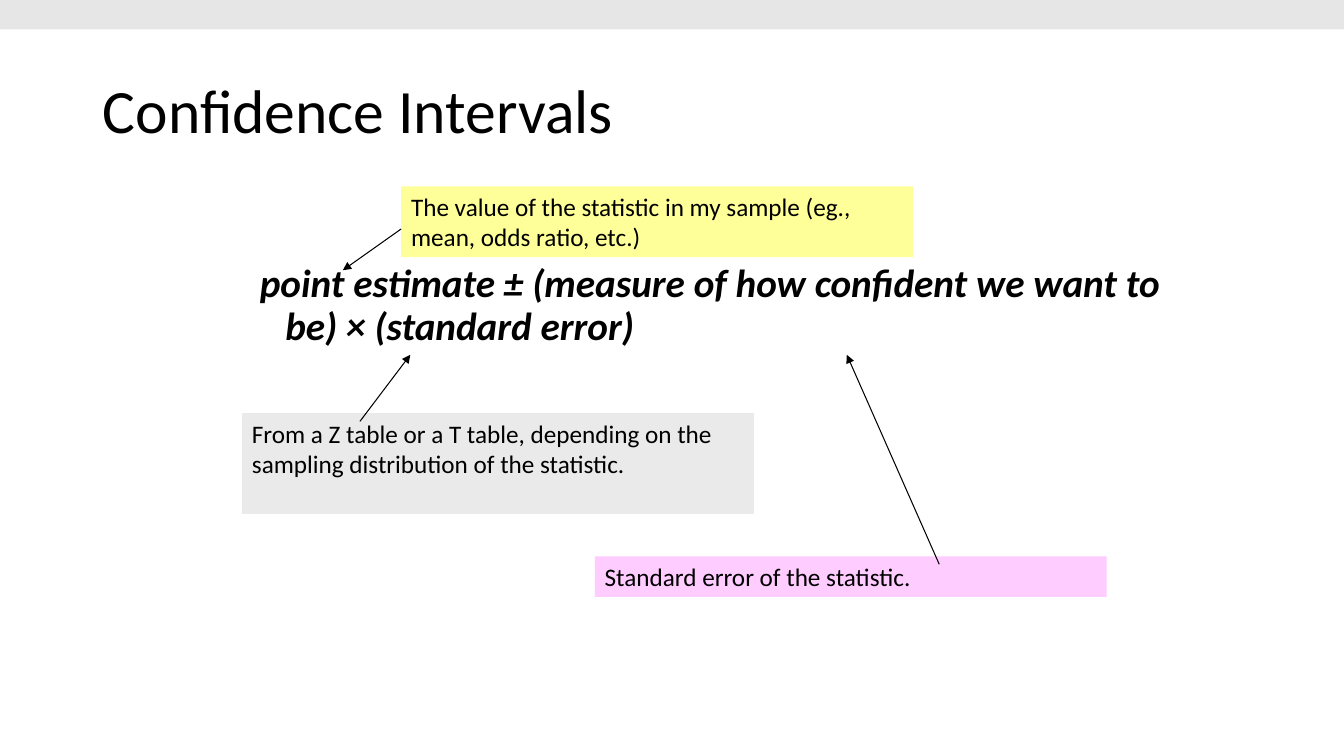
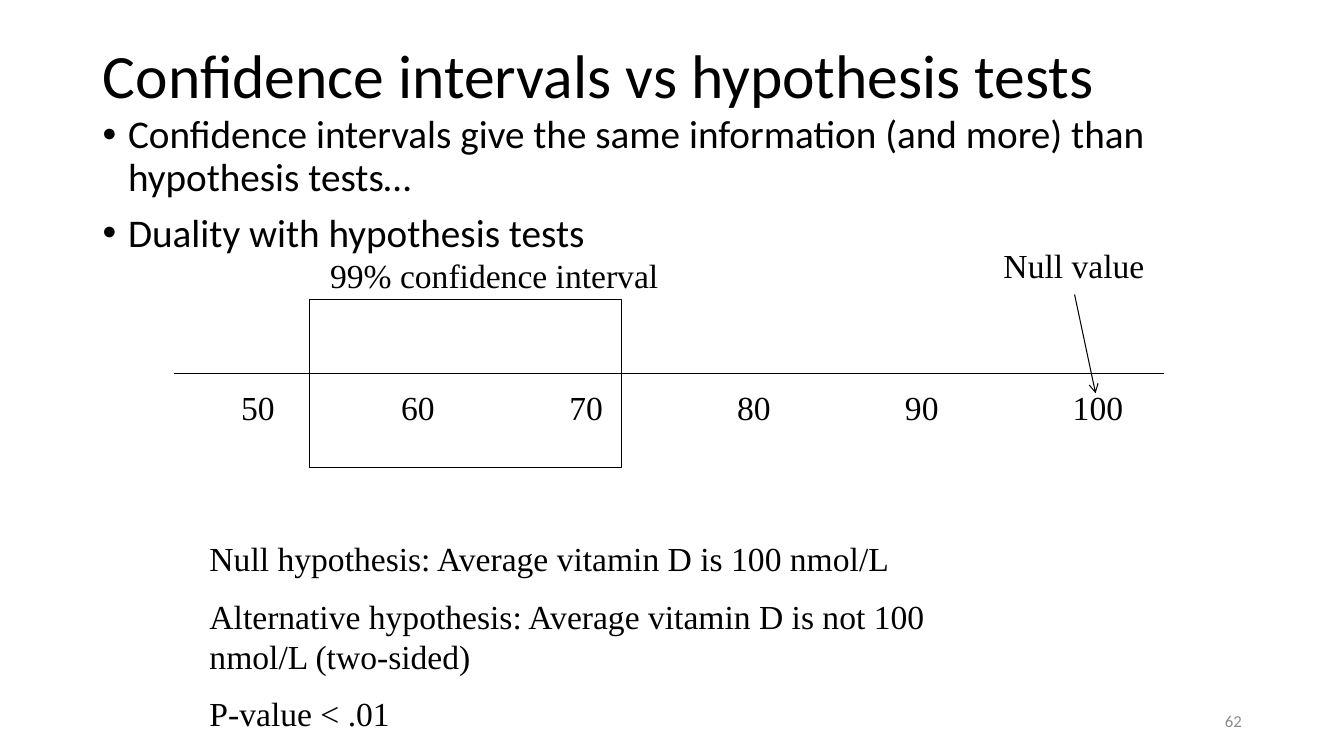
"""Build two slides on confidence intervals and hypothesis tests."""
from dataclasses import dataclass
from typing import NamedTuple, Optional

from lxml import etree
from pptx import Presentation
from pptx.dml.color import RGBColor
from pptx.enum.shapes import MSO_CONNECTOR, MSO_SHAPE
from pptx.enum.text import MSO_ANCHOR, PP_ALIGN
from pptx.oxml.ns import qn
from pptx.slide import Slide
from pptx.util import Cm, Pt

RECTANGLE = MSO_SHAPE.RECTANGLE
STRAIGHT = MSO_CONNECTOR.STRAIGHT
TOP, MIDDLE = MSO_ANCHOR.TOP, MSO_ANCHOR.MIDDLE
LEFT, CENTER, RIGHT = PP_ALIGN.LEFT, PP_ALIGN.CENTER, PP_ALIGN.RIGHT

BLACK = RGBColor(0x00, 0x00, 0x00)
WHITE = RGBColor(0xFF, 0xFF, 0xFF)
BAND_GRAY = RGBColor(0xE7, 0xE6, 0xE6)
NUMBER_GRAY = RGBColor(0x8C, 0x8C, 0x8C)
NOTE_YELLOW = RGBColor(0xFF, 0xFF, 0x99)
NOTE_GRAY = RGBColor(0xEA, 0xEA, 0xEA)
NOTE_PINK = RGBColor(0xFF, 0xCC, 0xFF)

SANS = "Calibri"
SERIF = "Times New Roman"
LINE_WIDTH = Pt(0.75)
HANGING_INDENT = Cm(0.64)
BLANK_LAYOUT = 6


class Box(NamedTuple):
    """Place and size in centimetres."""
    left: float
    top: float
    width: float
    height: float


class Line(NamedTuple):
    """Start and end points in centimetres, with an optional arrowhead."""
    start_x: float
    start_y: float
    end_x: float
    end_y: float
    head: Optional[str] = None


class Note(NamedTuple):
    """Coloured explanation and the arrow that leads from it."""
    text: str
    box: Box
    fill: RGBColor
    arrow: Line


class Tick(NamedTuple):
    """Axis label and its horizontal centre in centimetres."""
    text: str
    center: float


@dataclass(frozen=True)
class TextStyle:
    """Font and paragraph settings of one kind of text."""
    size: float
    font: str = SANS
    color: RGBColor = BLACK
    emphasis: bool = False
    align: PP_ALIGN = LEFT
    anchor: MSO_ANCHOR = TOP
    line_spacing: float = 1.0
    gap: float = 0
    hanging: bool = False
    bullet: Optional[str] = None


TITLE = TextStyle(44, anchor=MIDDLE, line_spacing=0.9)
FORMULA = TextStyle(28, emphasis=True, line_spacing=0.9, hanging=True)
BULLETS = TextStyle(28, line_spacing=0.9, gap=10, hanging=True, bullet="•")
NOTE = TextStyle(18)
LABEL = TextStyle(24, font=SERIF, align=CENTER)
HYPOTHESES = TextStyle(24, font=SERIF, gap=12)
SLIDE_NUMBER = TextStyle(12, color=NUMBER_GRAY, align=RIGHT, anchor=MIDDLE)

NOTES = (
    Note("The value of the statistic in my sample (eg., mean, odds ratio, etc.)",
         Box(10.11, 4.7, 12.9, 1.78), NOTE_YELLOW,
         Line(10.11, 5.77, 8.64, 6.81, "triangle")),
    Note("From a Z table or a T table, depending on the sampling distribution of the statistic.",
         Box(6.1, 10.41, 12.9, 2.54), NOTE_GRAY,
         Line(9.07, 10.62, 10.34, 8.94, "triangle")),
    Note("Standard error of the statistic.",
         Box(14.99, 14.02, 12.9, 1.02), NOTE_PINK,
         Line(23.67, 14.22, 21.34, 8.94, "triangle")),
)

TICKS = (
    Tick("50", 6.5), Tick("60", 10.53), Tick("70", 14.77),
    Tick("80", 19), Tick("90", 23.23), Tick("100", 27.67),
)
TICK_TOP, TICK_WIDTH, TICK_HEIGHT = 9.63, 2.4, 1.14


def add_rectangle(slide: Slide, box: Box, fill: Optional[RGBColor] = None,
                  outline: Optional[RGBColor] = None):
    """Add a flat rectangle with an optional fill and outline."""
    shape = slide.shapes.add_shape(RECTANGLE, *map(Cm, box))
    shape.shadow.inherit = False
    if fill is None:
        shape.fill.background()
    else:
        shape.fill.solid()
        shape.fill.fore_color.rgb = fill
    if outline is None:
        shape.line.fill.background()
    else:
        shape.line.color.rgb = outline
        shape.line.width = LINE_WIDTH
    return shape


def write_text(shape, style: TextStyle, *texts: str) -> None:
    """Write one paragraph per text into a shape."""
    frame = shape.text_frame
    frame.word_wrap = True
    frame.vertical_anchor = style.anchor
    for index, text in enumerate(texts):
        paragraph = frame.add_paragraph() if index else frame.paragraphs[0]
        paragraph.alignment = style.align
        paragraph.line_spacing = style.line_spacing
        paragraph.space_before = Pt(style.gap if index else 0)
        properties = paragraph._p.get_or_add_pPr()
        if style.hanging:
            properties.set("marL", str(HANGING_INDENT))
            properties.set("indent", str(-HANGING_INDENT))
        if style.bullet:
            etree.SubElement(properties, qn("a:buFont")).set("typeface", "Arial")
            etree.SubElement(properties, qn("a:buChar")).set("char", style.bullet)
        run = paragraph.add_run()
        run.text = text
        run.font.name = style.font
        run.font.size = Pt(style.size)
        run.font.bold = run.font.italic = style.emphasis
        run.font.color.rgb = style.color


def add_text(slide: Slide, box: Box, style: TextStyle, *texts: str) -> None:
    """Add a plain text box."""
    write_text(slide.shapes.add_textbox(*map(Cm, box)), style, *texts)


def add_line(slide: Slide, line: Line) -> None:
    """Add a thin black line, with an arrowhead at its end if it has one."""
    ends = map(Cm, (line.start_x, line.start_y, line.end_x, line.end_y))
    connector = slide.shapes.add_connector(STRAIGHT, *ends)
    connector.line.color.rgb = BLACK
    connector.line.width = LINE_WIDTH
    if line.head:
        outline = connector.line._get_or_add_ln()
        etree.SubElement(outline, qn("a:tailEnd")).set("type", line.head)
    etree.SubElement(connector._element.spPr, qn("a:effectLst"))


def add_titled_slide(presentation, title: str, title_top: float) -> Slide:
    """Add a blank slide with a title."""
    slide = presentation.slides.add_slide(presentation.slide_layouts[BLANK_LAYOUT])
    add_text(slide, Box(2.34, title_top, 29.21, 3.68), TITLE, title)
    return slide


def build_formula_slide(presentation) -> None:
    """Show the formula of the interval with its parts explained."""
    slide = add_titled_slide(presentation, "Confidence Intervals", 1.02)
    add_rectangle(slide, Box(0, 0, 33.87, 0.74), BAND_GRAY)
    add_text(slide, Box(6.3, 6.53, 23.83, 10.34), FORMULA,
             "point estimate ± (measure of how confident we want to be) × (standard error)")
    for note in NOTES:
        write_text(add_rectangle(slide, note.box, note.fill), NOTE, note.text)
        add_line(slide, note.arrow)


def build_duality_slide(presentation) -> None:
    """Compare an interval on a number line with a hypothesis test."""
    slide = add_titled_slide(presentation, "Confidence intervals vs hypothesis tests", 0.15)
    add_text(slide, Box(2.34, 2.77, 29.21, 12.09), BULLETS,
             "Confidence intervals give the same information (and more) than hypothesis tests…",
             "Duality with hypothesis tests")
    add_text(slide, Box(23.93, 17.65, 7.62, 1.02), SLIDE_NUMBER, "62")
    add_line(slide, Line(27.08, 7.42, 27.61, 9.91, "arrow"))
    add_text(slide, Box(24.31, 6.05, 5.51, 1.14), LABEL, "Null value")
    add_rectangle(slide, Box(7.8, 7.54, 7.87, 4.24), outline=BLACK)
    add_text(slide, Box(6.12, 6.3, 12.67, 1.14), LABEL, "99% confidence interval")
    hypotheses = add_rectangle(slide, Box(5.03, 13.44, 20.12, 5.23), WHITE, WHITE)
    write_text(hypotheses, HYPOTHESES,
               "Null hypothesis: Average vitamin D is 100 nmol/L",
               "Alternative hypothesis: Average vitamin D is not 100 nmol/L (two-sided)",
               "P-value < .01")
    add_line(slide, Line(4.39, 9.42, 29.34, 9.42))
    for tick in TICKS:
        box = Box(tick.center - TICK_WIDTH / 2, TICK_TOP, TICK_WIDTH, TICK_HEIGHT)
        add_text(slide, box, LABEL, tick.text)


def main() -> None:
    """Build and save the presentation."""
    presentation = Presentation()
    presentation.slide_width = Cm(33.87)
    presentation.slide_height = Cm(19.05)
    build_formula_slide(presentation)
    build_duality_slide(presentation)
    presentation.save("out.pptx")


if __name__ == "__main__":
    main()
